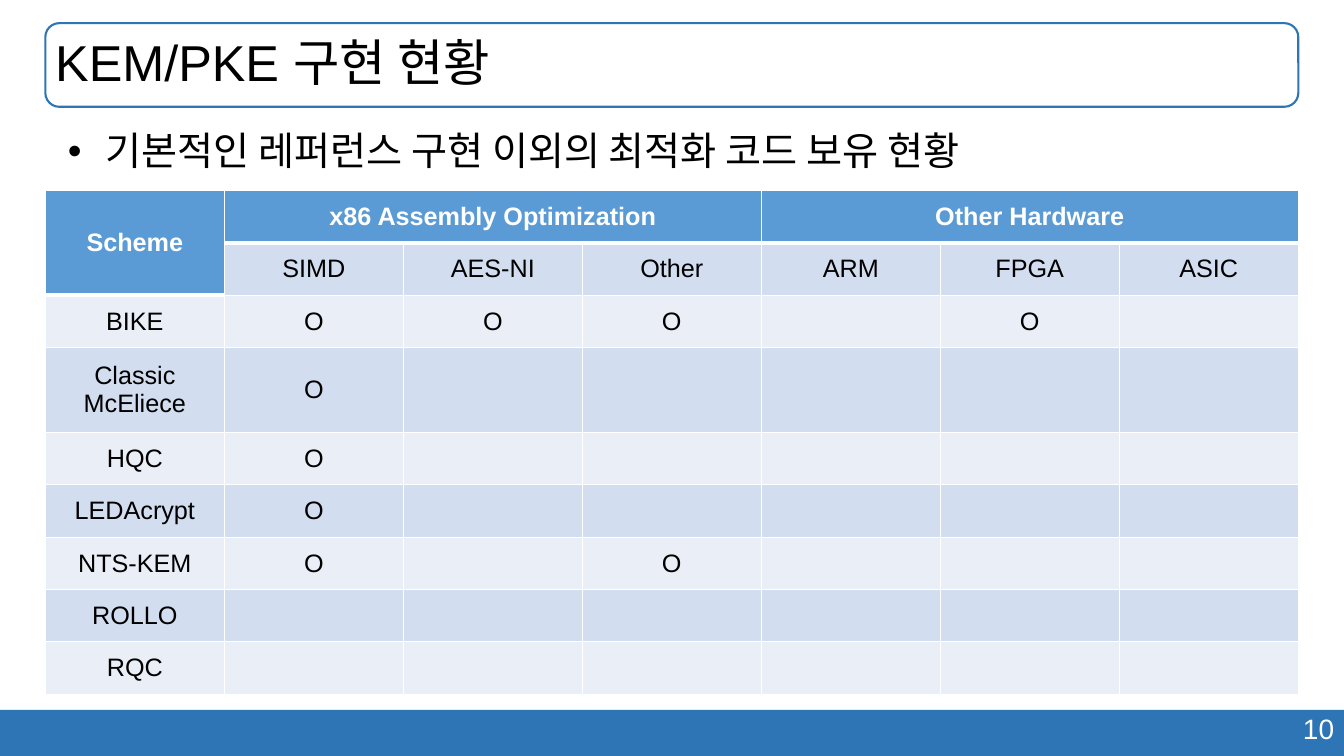
from dataclasses import dataclass

from lxml.etree import SubElement
from pptx import Presentation
from pptx.dml.color import RGBColor
from pptx.enum.shapes import MSO_SHAPE
from pptx.enum.text import MSO_ANCHOR, PP_ALIGN
from pptx.oxml.ns import qn
from pptx.shapes.autoshape import Shape
from pptx.slide import Slide
from pptx.table import Table, _Cell
from pptx.text.text import TextFrame
from pptx.util import Pt

BLACK = RGBColor(0x00, 0x00, 0x00)
WHITE = RGBColor(0xFF, 0xFF, 0xFF)
FOOTER_BLUE = RGBColor(0x2E, 0x75, 0xB6)
FRAME_BLUE = RGBColor(0x2E, 0x75, 0xB5)
HEADER_BLUE = RGBColor(0x5B, 0x9B, 0xD5)
BAND_DARK = RGBColor(0xD2, 0xDE, 0xEF)
BAND_LIGHT = RGBColor(0xEA, 0xEF, 0xF7)

FONT = "Arial"
MARGIN, CONTENT_WIDTH = 32.4, 895
ROW_HEIGHT, TALL_ROW_HEIGHT = 37.44, 60.48
THIN, THICK = 1, 3


@dataclass(frozen=True)
class Box:
    left: float
    top: float
    width: float
    height: float

    def points(self) -> tuple[Pt, Pt, Pt, Pt]:
        return Pt(self.left), Pt(self.top), Pt(self.width), Pt(self.height)


@dataclass(frozen=True)
class HeaderGroup:
    title: str
    columns: tuple[str, ...]


@dataclass(frozen=True)
class Scheme:
    name: str
    implemented: tuple[str, ...] = ()
    height: float = ROW_HEIGHT


GROUPS = (
    HeaderGroup("x86 Assembly Optimization", ("SIMD", "AES-NI", "Other")),
    HeaderGroup("Other Hardware", ("ARM", "FPGA", "ASIC")),
)
SCHEMES = (
    Scheme("BIKE", ("SIMD", "AES-NI", "Other", "FPGA")),
    Scheme("Classic McEliece", ("SIMD",), TALL_ROW_HEIGHT),
    Scheme("HQC", ("SIMD",)),
    Scheme("LEDAcrypt", ("SIMD",)),
    Scheme("NTS-KEM", ("SIMD", "Other")),
    Scheme("ROLLO"),
    Scheme("RQC"),
)
TITLE_BOX = Box(MARGIN, 16.56, CONTENT_WIDTH, 59.76)
TABLE_BOX = Box(MARGIN, 136.08, CONTENT_WIDTH, 360)


def write(frame: TextFrame, text: str, *, size: float, color: RGBColor = BLACK,
          bold: bool = False, align: PP_ALIGN = PP_ALIGN.LEFT,
          spacing: float = 1.0, bullet: bool = False) -> None:
    frame.word_wrap = True
    paragraph = frame.paragraphs[0]
    paragraph.alignment = align
    paragraph.line_spacing = spacing
    if bullet:
        properties = paragraph._p.get_or_add_pPr()
        properties.set("marL", str(Pt(36)))
        properties.set("indent", str(Pt(-27)))
        SubElement(properties, qn("a:buFont")).set("typeface", FONT)
        SubElement(properties, qn("a:buChar")).set("char", "•")
    run = paragraph.add_run()
    run.text = text
    run.font.name, run.font.size = FONT, Pt(size)
    run.font.bold, run.font.color.rgb = bold, color


def add_text(slide: Slide, box: Box, text: str,
             anchor: MSO_ANCHOR = MSO_ANCHOR.TOP, **text_format) -> None:
    frame = slide.shapes.add_textbox(*box.points()).text_frame
    frame.vertical_anchor = anchor
    write(frame, text, **text_format)


def add_panel(slide: Slide, kind: MSO_SHAPE, box: Box) -> Shape:
    panel = slide.shapes.add_shape(kind, *box.points())
    panel.shadow.inherit = False
    return panel


def style_cell(cell: _Cell, fill: RGBColor, top: float, bottom: float) -> None:
    properties = cell._tc.get_or_add_tcPr()
    for side, width in (("L", THIN), ("R", THIN), ("T", top), ("B", bottom)):
        border = SubElement(properties, qn(f"a:ln{side}"), w=str(Pt(width)))
        solid = SubElement(border, qn("a:solidFill"))
        SubElement(solid, qn("a:srgbClr"), val=str(WHITE))
    cell.fill.solid()
    cell.fill.fore_color.rgb = fill
    cell.vertical_anchor = MSO_ANCHOR.MIDDLE


def style_grid(table: Table) -> None:
    for r, row in enumerate(table.rows):
        for c, cell in enumerate(row.cells):
            header_rows = 2 if c == 0 else 1
            band = BAND_LIGHT if r % 2 == 0 else BAND_DARK
            style_cell(cell, HEADER_BLUE if r < header_rows else band,
                       top=THICK if r == header_rows else THIN,
                       bottom=THICK if r == header_rows - 1 else THIN)


def add_status_table(slide: Slide) -> None:
    columns = [name for group in GROUPS for name in group.columns]
    table = slide.shapes.add_table(
        len(SCHEMES) + 2, len(columns) + 1, *TABLE_BOX.points()).table
    for column in table.columns:
        column.width = Pt(CONTENT_WIDTH / (len(columns) + 1))
    heights = [ROW_HEIGHT] * 2 + [scheme.height for scheme in SCHEMES]
    for row, height in zip(table.rows, heights):
        row.height = Pt(height)
    style_grid(table)

    def fill_in(row: int, column: int, text: str, header: bool = False) -> None:
        write(table.cell(row, column).text_frame, text, size=18, bold=header,
              color=WHITE if header else BLACK, align=PP_ALIGN.CENTER)

    # Header rows
    table.cell(0, 0).merge(table.cell(1, 0))
    fill_in(0, 0, "Scheme", header=True)
    first = 1
    for group in GROUPS:
        last = first + len(group.columns) - 1
        table.cell(0, first).merge(table.cell(0, last))
        fill_in(0, first, group.title, header=True)
        first = last + 1
    for c, name in enumerate(columns, start=1):
        fill_in(1, c, name)

    # One row per scheme
    for r, scheme in enumerate(SCHEMES, start=2):
        fill_in(r, 0, scheme.name)
        for name in scheme.implemented:
            fill_in(r, columns.index(name) + 1, "O")


def main() -> None:
    deck = Presentation()
    deck.slide_width, deck.slide_height = Pt(960), Pt(540)
    slide = deck.slides.add_slide(deck.slide_layouts[6])

    # Footer band and page number
    footer = add_panel(slide, MSO_SHAPE.RECTANGLE, Box(0, 507, 960, 33))
    footer.fill.solid()
    footer.fill.fore_color.rgb = FOOTER_BLUE
    footer.line.fill.background()
    add_text(slide, Box(679, 504.7, 281, 31.5), "10", size=20, color=WHITE,
             align=PP_ALIGN.RIGHT)

    # Framed title
    title_frame = add_panel(slide, MSO_SHAPE.ROUNDED_RECTANGLE, TITLE_BOX)
    title_frame.fill.background()
    title_frame.line.color.rgb = FRAME_BLUE
    title_frame.line.width = Pt(1.5)
    add_text(slide, TITLE_BOX, "KEM/PKE 구현 현황", MSO_ANCHOR.MIDDLE, size=36,
             spacing=0.9)

    # Summary bullet and implementation table
    add_text(slide, Box(MARGIN, 90.72, CONTENT_WIDTH, 398),
             "기본적인 레퍼런스 구현 이외의 최적화 코드 보유 현황", size=28,
             spacing=0.9, bullet=True)
    add_status_table(slide)

    deck.save("out.pptx")


if __name__ == "__main__":
    main()
